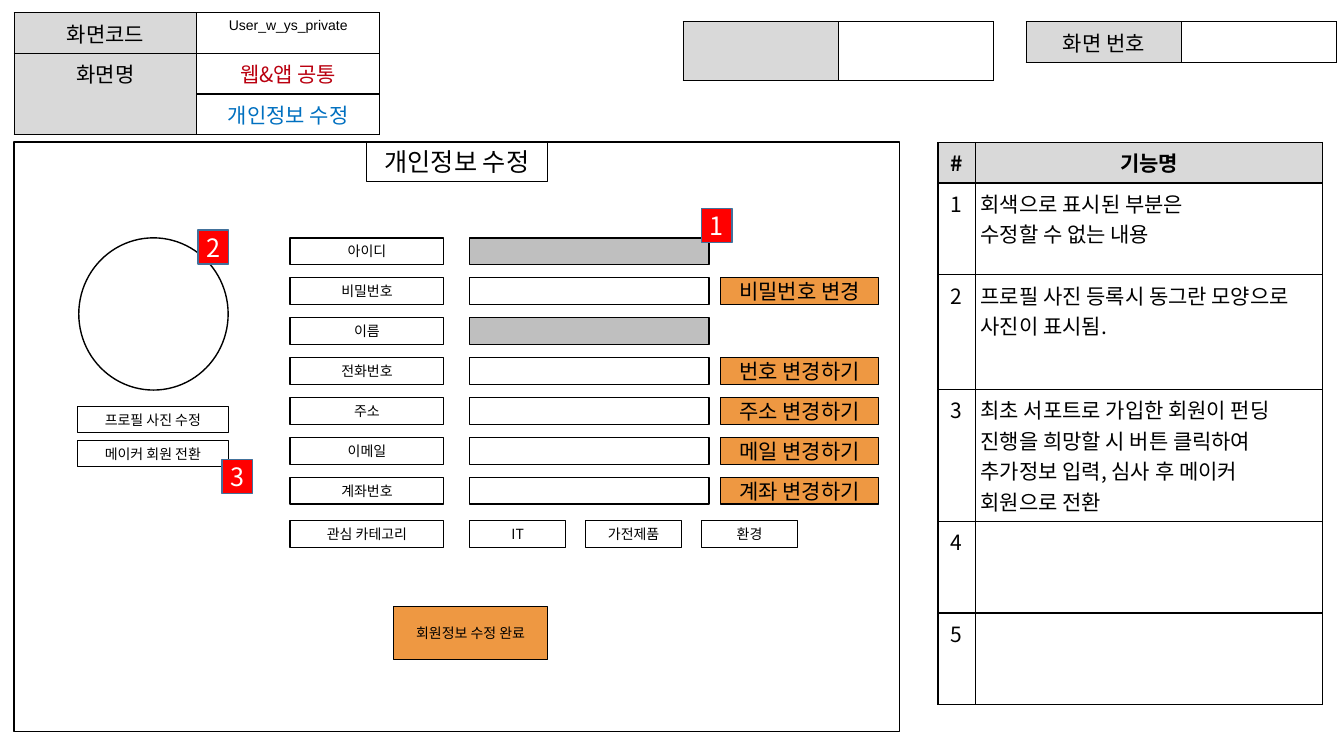
from dataclasses import dataclass

from lxml import etree
from pptx import Presentation
from pptx.dml.color import RGBColor
from pptx.enum.shapes import MSO_SHAPE
from pptx.enum.text import MSO_ANCHOR, PP_ALIGN
from pptx.oxml.ns import qn
from pptx.slide import Slide
from pptx.table import _Cell
from pptx.text.text import TextFrame
from pptx.util import Pt

RECT, OVAL = MSO_SHAPE.RECTANGLE, MSO_SHAPE.OVAL
LEFT, CENTER = PP_ALIGN.LEFT, PP_ALIGN.CENTER
MIDDLE = MSO_ANCHOR.MIDDLE


@dataclass(frozen=True)
class Theme:
    font: str = "Noto Sans CJK KR"
    code: str = "Arial"
    ink: str = "000000"
    paper: str = "FFFFFF"
    head: str = "D9D9D9"
    locked: str = "BFBFBF"
    action: str = "EE9842"
    badge: str = "FF0000"
    edge: str = "42719B"
    red: str = "BA0010"
    blue: str = "0070C0"
    small: float = 10
    body: float = 15
    title: float = 18
    thin: float = 0.75
    line: float = 1
    grid: float = 0.96
    inset: float = 3.6


T = Theme()


@dataclass(frozen=True)
class Style:
    size: float = T.body
    color: str = T.ink
    font: str = T.font
    bold: bool = False
    align: PP_ALIGN = CENTER


@dataclass(frozen=True)
class Box:
    x: float
    y: float
    w: float
    h: float
    text: str = ""
    fill: str | None = T.paper
    style: Style = Style(T.small)
    edge: str = T.ink
    line: float = T.line
    kind: MSO_SHAPE = RECT


@dataclass(frozen=True)
class Cell:
    text: str = ""
    fill: str = T.paper
    style: Style = Style()
    side: float = T.inset


@dataclass(frozen=True)
class Grid:
    x: float
    y: float
    cols: list[float]
    rows: list[float]
    cells: list[list[Cell]]


@dataclass(frozen=True)
class Field:
    label: str
    action: str = ""
    locked: bool = False


def write(frame: TextFrame, text: str, style: Style) -> None:
    for i, line in enumerate(text.split("\n")):
        para = frame.add_paragraph() if i else frame.paragraphs[0]
        para.alignment = style.align
        if not line:
            continue
        run = para.add_run()
        run.text = line
        font = run.font
        font.name, font.size, font.bold = style.font, Pt(style.size), style.bold
        font.color.rgb = RGBColor.from_string(style.color)
        etree.SubElement(font._element, qn("a:ea"), typeface=style.font)


def draw_box(slide: Slide, box: Box) -> None:
    shape = slide.shapes.add_shape(box.kind, Pt(box.x), Pt(box.y), Pt(box.w), Pt(box.h))
    shape.shadow.inherit = False
    if box.fill:
        shape.fill.solid()
        shape.fill.fore_color.rgb = RGBColor.from_string(box.fill)
    else:
        shape.fill.background()
    shape.line.color.rgb = RGBColor.from_string(box.edge)
    shape.line.width = Pt(box.line)
    if box.text:
        frame = shape.text_frame
        frame.word_wrap, frame.vertical_anchor = True, MIDDLE
        frame.margin_left = frame.margin_right = Pt(T.inset)
        frame.margin_top = frame.margin_bottom = Pt(0)
        write(frame, box.text, box.style)


def rule(cell: _Cell) -> None:
    """Line all four sides of a cell; the lines must precede its fill."""
    props = cell._tc.get_or_add_tcPr()
    for i, side in enumerate("LRTB"):
        line = etree.Element(qn(f"a:ln{side}"), w=str(int(Pt(T.grid))))
        fill = etree.SubElement(line, qn("a:solidFill"))
        etree.SubElement(fill, qn("a:srgbClr"), val=T.ink)
        props.insert(i, line)


def draw_grid(slide: Slide, grid: Grid) -> None:
    table = slide.shapes.add_table(
        len(grid.rows), len(grid.cols), Pt(grid.x), Pt(grid.y),
        Pt(sum(grid.cols)), Pt(sum(grid.rows))).table
    table.first_row = table.horz_banding = False
    for col, width in zip(table.columns, grid.cols):
        col.width = Pt(width)
    for r, (height, cells) in enumerate(zip(grid.rows, grid.cells)):
        table.rows[r].height = Pt(height)
        for c, item in enumerate(cells):
            cell = table.cell(r, c)
            cell.fill.solid()
            cell.fill.fore_color.rgb = RGBColor.from_string(item.fill)
            cell.margin_left = cell.margin_right = Pt(item.side)
            cell.margin_top = cell.margin_bottom = Pt(T.inset)
            write(cell.text_frame, item.text, item.style)
            rule(cell)
            if r and item.fill == T.head:
                if not item.text:
                    table.cell(r - 1, c).merge(cell)


BOLD, NOTE = Style(bold=True), Style(align=LEFT)
BADGE = Style(T.title, T.paper)
ROW = 28.8

NOTES = [
    "회색으로 표시된 부분은\n수정할 수 없는 내용",
    "프로필 사진 등록시 동그란 모양으로 사진이 표시됨.",
    "최초 서포트로 가입한 회원이 펀딩 진행을 희망할 시 버튼 클릭하여 "
    "추가정보 입력, 심사 후 메이커 회원으로 전환",
    "",
    "",
]
GRIDS = [
    Grid(10.1, 9.2, [130.5, 130.5], [ROW + 0.2] * 3, [
        [Cell("화면코드", T.head),
         Cell("User_w_ys_private", style=Style(T.small, font=T.code), side=0.72)],
        [Cell("화면명", T.head), Cell("웹&앱 공통", style=Style(color=T.red))],
        [Cell(fill=T.head), Cell("개인정보 수정", style=Style(color=T.blue))],
    ]),
    Grid(733, 15.5, [110.8] * 2, [ROW], [[Cell("화면 번호", T.head), Cell()]]),
    Grid(488, 15.5, [110.8] * 2, [42], [[Cell(fill=T.head), Cell()]]),
    Grid(670, 101.7, [26.8, 248], [ROW, 65.6, 82, 94, 65.6, 65.6],
         [[Cell("#", T.head, BOLD), Cell("기능명", T.head, BOLD)]]
         + [[Cell(str(n)), Cell(note, style=NOTE)] for n, note in enumerate(NOTES, 1)]),
]

FIELDS = [
    Field("아이디", locked=True),
    Field("비밀번호", "비밀번호 변경"),
    Field("이름", locked=True),
    Field("전화번호", "번호 변경하기"),
    Field("주소", "주소 변경하기"),
    Field("이메일", "메일 변경하기"),
    Field("계좌번호", "계좌 변경하기"),
]
TOP, STEP, TALL = 169.9, 28.5, 19.2
LABEL_X, ENTRY_X, ACTION_X, LABEL_W = 207.2, 335.5, 514.8, 109.8
TAG_Y, TAG_STEP = 371.7, 82.8
TAGS = ["IT", "가전제품", "환경"]
BADGES = [(501.3, 149), (141.6, 164.3), (158.6, 328.3)]


def main() -> None:
    deck = Presentation()
    deck.slide_width, deck.slide_height = Pt(960), Pt(540)
    slide = deck.slides.add_slide(deck.slide_layouts[6])
    for grid in GRIDS:
        draw_grid(slide, grid)
    boxes = [
        Box(10.1, 101.5, 632.5, 421.2),
        Box(261.8, 101, 129, ROW, "개인정보 수정", None, Style(T.title), line=T.thin),
        Box(56.3, 169.9, 106.7, 108.7, kind=OVAL),
        Box(55.4, 290.2, 107.6, 18.8, "프로필 사진 수정", None, line=T.thin),
        Box(55.4, 314.6, 107.6, 18.8, "메이커 회원 전환", None, line=T.thin),
    ]
    for i, field in enumerate(FIELDS):
        y = TOP + i * STEP
        boxes.append(Box(LABEL_X, y, LABEL_W, TALL, field.label))
        boxes.append(Box(ENTRY_X, y, 171, TALL, fill=T.locked if field.locked else T.paper))
        if field.action:
            boxes.append(Box(ACTION_X, y, 112.7, TALL, field.action, T.action, Style()))
    boxes.append(Box(LABEL_X, TAG_Y, LABEL_W, TALL, "관심 카테고리"))
    boxes += [Box(ENTRY_X + i * TAG_STEP, TAG_Y, 68.6, TALL, tag) for i, tag in enumerate(TAGS)]
    boxes.append(Box(281.2, 433.3, LABEL_W, 38, "회원정보 수정 완료", T.action))
    boxes += [Box(x, y, 21.6, 24.4, str(n), T.badge, BADGE, T.edge)
              for n, (x, y) in enumerate(BADGES, 1)]
    for box in boxes:
        draw_box(slide, box)
    deck.save("out.pptx")


if __name__ == "__main__":
    main()
